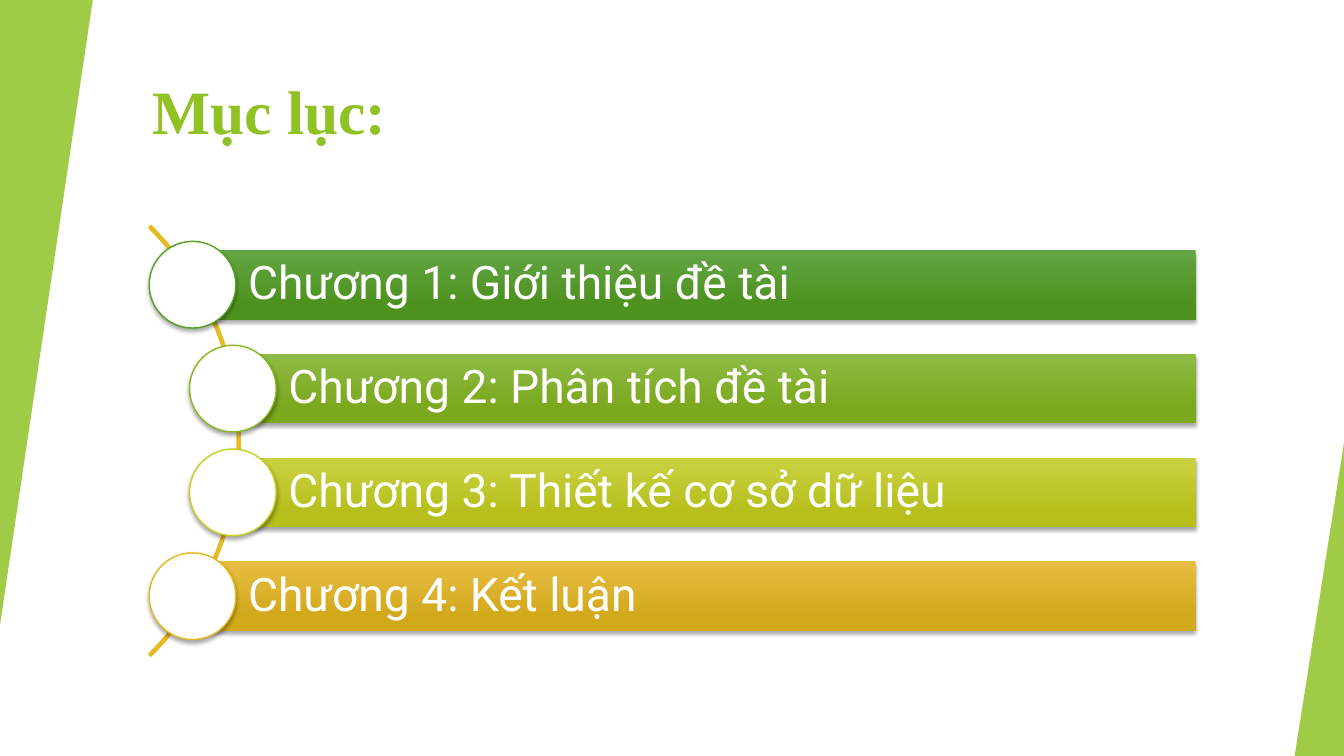
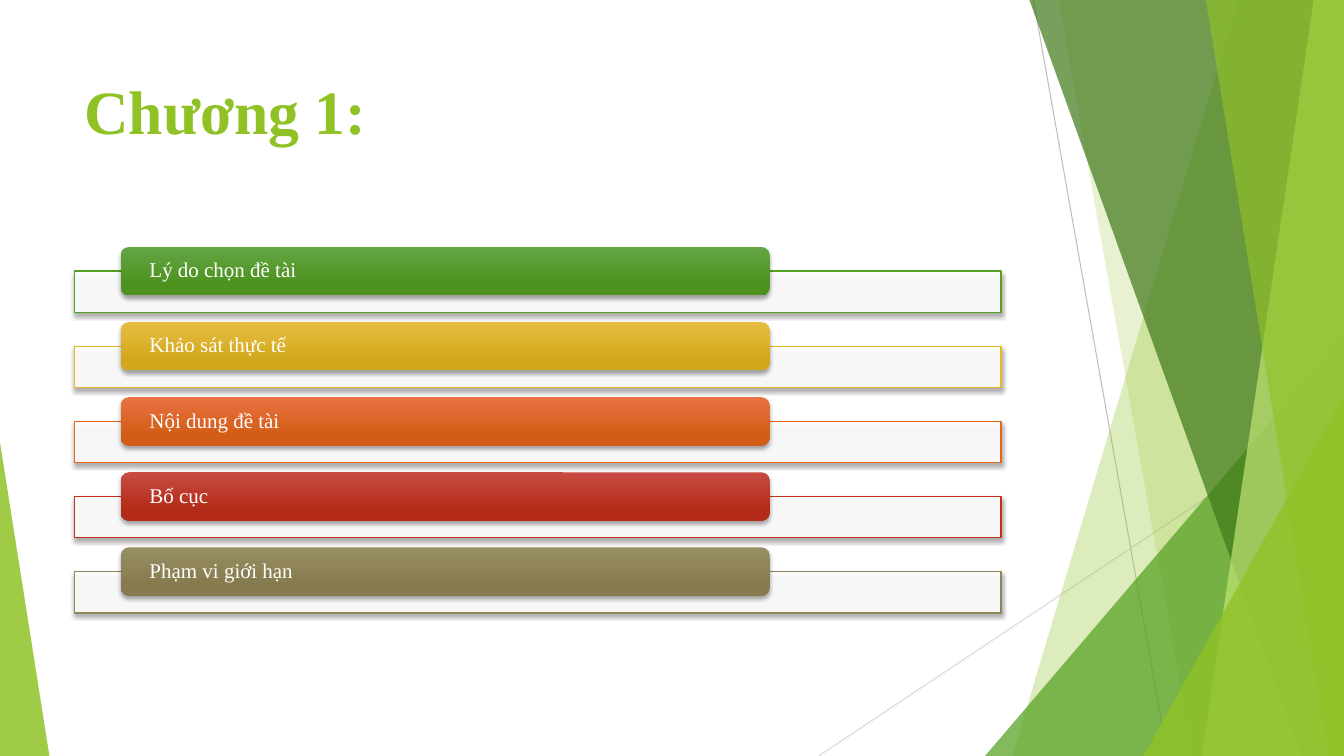
from lxml.etree import SubElement
from pptx import Presentation
from pptx.dml.color import RGBColor
from pptx.enum.shapes import MSO_CONNECTOR as Line, MSO_SHAPE as Kind
from pptx.enum.text import MSO_ANCHOR as Anchor, PP_ALIGN as Align
from pptx.oxml.ns import qn
from pptx.util import Inches, Pt

WIDE, HIGH = 13.33, 7.5
WHITE, LIME, GREEN, GOLD = "FFFFFF", "90C226", "54A021", "E6B91E"
SERIF, SANS = "Times New Roman", "Roboto"
SHADES = {
    GREEN: ("63A545", "4D921E"),
    "86B820": ("8EBB44", "7BA81D"),
    "C7D01D": ("CAD243", "B6BF1B"),
    GOLD: ("E7BC43", "D2A91B"),
    "E76618": ("E87242", "D35D16"),
    "C42F1A": ("C74B42", "B32B18"),
    "918655": ("988E64", "857B4E"),
}
CHAPTERS = [
    ("Chương 1: Giới thiệu đề tài", GREEN, 1.91),
    ("Chương 2: Phân tích đề tài", "86B820", 2.31),
    ("Chương 3: Thiết kế cơ sở dữ liệu", "C7D01D", 2.31),
    ("Chương 4: Kết luận", GOLD, 1.91),
]
TOPICS = [
    ("Lý do chọn đề tài", GREEN),
    ("Khảo sát thực tế", GOLD),
    ("Nội dung đề tài", "E76618"),
    ("Bố cục", "C42F1A"),
    ("Phạm vi giới hạn", "918655"),
]
PANES = [
    (12.28, 10.04, LIME, 30),
    (10.5, 11.83, LIME, 20),
    (10.21, 12.91, "3F7819", 70),
    (13.03, 11.92, "C0E474", 70),
    (11.96, 13.18, LIME, 65),
]


def tint(code):
    """Turn a hex string into a colour."""
    return RGBColor.from_string(code)


def paint(shape, fill=None, alpha=100, line=None, width=1):
    """Set fill, opacity and outline of a shape, without shadow."""
    shape.shadow.inherit = False
    if fill:
        shape.fill.solid()
        shape.fill.fore_color.rgb = tint(fill)
        if alpha < 100:
            color = shape._element.spPr.find(qn("a:solidFill"))[0]
            SubElement(color, qn("a:alpha")).set("val", str(alpha * 1000))
    else:
        shape.fill.background()
    if line:
        shape.line.color.rgb = tint(line)
        shape.line.width = Pt(width)
    else:
        shape.line.fill.background()
    return shape


def shade(shape, color):
    """Fill a shape with the vertical gradient of its colour."""
    shape.fill.gradient()
    shape.fill.gradient_angle = 270
    for stop, code, place in zip(shape.fill.gradient_stops, SHADES[color], (0, 0.78)):
        stop.color.rgb = tint(code)
        stop.position = place


def lift(shape):
    """Give a shape a soft shadow below it."""
    effects = shape._element.spPr.find(qn("a:effectLst"))
    outer = SubElement(effects, qn("a:outerShdw"), blurRad=str(Pt(3)), dist=str(Pt(2)),
                       dir="5400000", algn="ctr", rotWithShape="0")
    color = SubElement(outer, qn("a:srgbClr"), val="000000")
    SubElement(color, qn("a:alpha"), val="35000")


def put(slide, kind, x, y, w, h, **look):
    """Add a painted preset shape."""
    box = [Inches(n) for n in (x, y, w, h)]
    return paint(slide.shapes.add_shape(kind, *box), **look)


def wedge(slide, x, y, w, h, tip, color=LIME, alpha=85, turn=0):
    """Add a clear triangle with its tip at a share of the width."""
    shape = put(slide, Kind.ISOSCELES_TRIANGLE, x, y, w, h, fill=color, alpha=alpha)
    shape.adjustments[0] = tip
    shape.rotation = turn


def pane(slide, top, foot, color, alpha):
    """Add a slanted pane that reaches to the right edge."""
    draft = slide.shapes.build_freeform(Inches(top), 0)
    points = [(WIDE, 0), (WIDE, HIGH), (foot, HIGH)]
    draft.add_line_segments([(Inches(x), Inches(y)) for x, y in points])
    paint(draft.convert_to_shape(), color, alpha)


def ray(slide, x1, y1, x2, y2, color):
    """Add a thin straight line."""
    ends = [Inches(n) for n in (x1, y1, x2, y2)]
    line = slide.shapes.add_connector(Line.STRAIGHT, *ends)
    line.line.color.rgb = tint(color)
    line.line.width = Pt(0.75)
    SubElement(line._element.spPr, qn("a:effectLst"))


def facets(slide):
    """Draw the green facets along the slide edges."""
    ray(slide, 10.25, 0, 11.58, HIGH, "BFBFBF")
    ray(slide, WIDE, 4.03, 8.12, HIGH, "D9D9D9")
    for spot, look in enumerate(PANES):
        if spot == 2:
            wedge(slide, 9.77, 3.33, 3.56, 4.17, 1, GREEN, 72)
        pane(slide, *look)
    wedge(slide, 11.34, 3.93, 1.99, 3.57, 1, alpha=80)
    wedge(slide, 0, 4.39, 0.49, 3.11, 0)


def title(slide, text, x, w):
    """Add the slide title."""
    box = slide.shapes.add_textbox(Inches(x), Inches(0.67), Inches(w), Inches(1.2))
    box.text_frame.word_wrap = True
    write(box.text_frame, text, 44, SERIF, LIME, True)


def write(frame, text, size, face, color=WHITE, bold=False):
    """Write one left-aligned paragraph."""
    para = frame.paragraphs[0]
    para.text = text
    para.alignment = Align.LEFT
    font = para.font
    font.size, font.name, font.bold = Pt(size), face, bold
    font.color.rgb = tint(color)


def bar(slide, kind, box, text, color, size, face, inset):
    """Add a raised gradient bar with its label."""
    shape = put(slide, kind, *box)
    shade(shape, color)
    lift(shape)
    frame = shape.text_frame
    frame.word_wrap = True
    frame.vertical_anchor = Anchor.MIDDLE
    frame.margin_left = Inches(inset)
    frame.margin_top = frame.margin_bottom = 0
    write(frame, text, size, face)
    frame.paragraphs[0].line_spacing = 0.9


def arc_list(slide, y, right):
    """Draw the chapter bars along a curve."""
    step, thick, dot = 1.03, 0.69, 0.86
    arc = put(slide, Kind.BLOCK_ARC, -3.65, y - 1.12, 6.03, 6.03, line=GOLD, width=1.5)
    for spot, value in enumerate((189, 27, 0.004)):
        arc.adjustments[spot] = value
    for row, (text, color, x) in enumerate(CHAPTERS):
        top = y + row * step
        bar(slide, Kind.RECTANGLE, (x, top, right - x, thick), text, color, 33, SANS, 0.55)
        lift(put(slide, Kind.OVAL, x - dot / 2, top + (thick - dot) / 2, dot, dot,
                 fill=WHITE, line=color))


def card_list(slide, x, y, w, h):
    """Draw the topic cards, spread evenly over the given height."""
    thick, rise = 0.41, 0.24
    step = (h - rise - thick) / (len(TOPICS) - 1)
    for row, (text, color) in enumerate(TOPICS):
        top = y + row * step
        lift(put(slide, Kind.RECTANGLE, x, top + rise, w, thick,
                 fill=WHITE, alpha=90, line=color))
        box = (x + w * 0.05, top, w * 0.7, 0.48)
        bar(slide, Kind.ROUNDED_RECTANGLE, box, text, color, 15, SERIF, 0.26)


def contents(slide):
    """Build the contents slide."""
    title(slide, "Mục lục:", 1.41, 11.15)
    wedge(slide, 0, 0, 0.92, 6.2, 1, turn=180)
    wedge(slide, 12.84, 4.39, 0.49, 3.11, 1)
    arc_list(slide, 2.48, 11.86)


def chapter(slide):
    """Build the chapter slide."""
    facets(slide)
    title(slide, "Chương 1:", 0.74, 9.4)
    card_list(slide, 0.74, 2.45, 9.19, 3.63)


def main():
    """Build and save the deck."""
    deck = Presentation()
    deck.slide_width, deck.slide_height = Inches(WIDE), Inches(HIGH)
    for build in (contents, chapter):
        build(deck.slides.add_slide(deck.slide_layouts[6]))
    deck.save("out.pptx")


if __name__ == "__main__":
    main()
